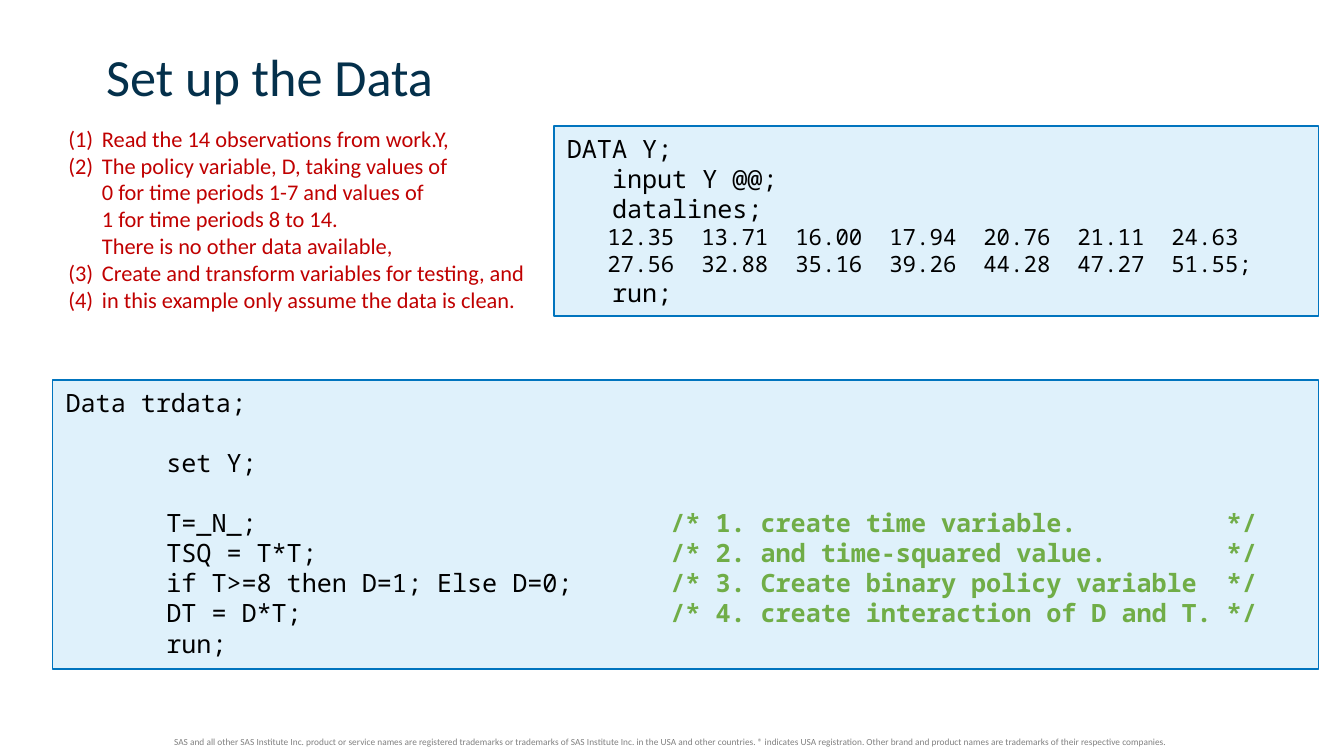
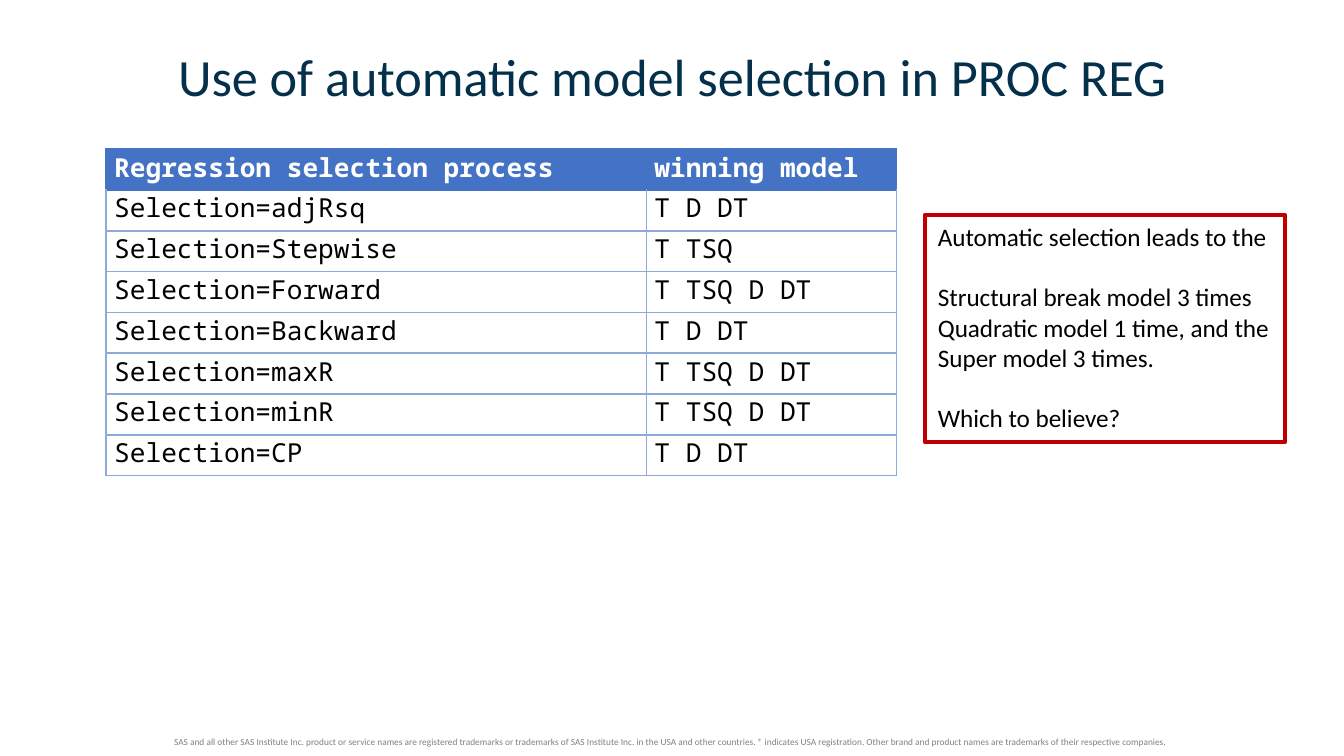
from lxml import etree
from pptx import Presentation
from pptx.dml.color import RGBColor
from pptx.enum.shapes import MSO_SHAPE
from pptx.enum.text import MSO_ANCHOR, PP_ALIGN
from pptx.oxml.ns import qn
from pptx.util import Inches, Pt

RECT = MSO_SHAPE.RECTANGLE
TOP, MIDDLE = MSO_ANCHOR.TOP, MSO_ANCHOR.MIDDLE
LEFT, CENTER = PP_ALIGN.LEFT, PP_ALIGN.CENTER

NAVY = RGBColor(0x04, 0x30, 0x4B)
BLUE = RGBColor(0x00, 0x74, 0xBE)
PALE = RGBColor(0xDF, 0xF1, 0xFB)
RED = RGBColor(0xC0, 0x00, 0x00)
GREEN = RGBColor(0x70, 0xAD, 0x47)
GREY = RGBColor(0x80, 0x80, 0x80)
BLACK = RGBColor(0x00, 0x00, 0x00)
WHITE = RGBColor(0xFF, 0xFF, 0xFF)
HEAD = RGBColor(0x44, 0x72, 0xC4)
GRID = RGBColor(0x8E, 0xAA, 0xDB)
SANS, MONO = "Calibri", "Noto Sans Mono"

FOOTER = (
    "SAS and all other SAS Institute Inc. product or service names are registered "
    "trademarks or trademarks of SAS Institute Inc. in the USA and other countries. "
    "® indicates USA registration. Other brand and product names are trademarks of "
    "their respective companies."
)


def write(frame, lines, face, size, color, align=LEFT, tabs=(), number=False):
    """Fill a frame; an empty line becomes space before the next one."""
    gap = False
    first = True
    for line in lines:
        if not line:
            gap = True
            continue
        para = frame.paragraphs[0] if first else frame.add_paragraph()
        first = False
        para.alignment = align
        code, mark, note = line.partition("/*")
        para.text = code
        if gap:
            para.space_before = Pt(16)
            gap = False
        props = para._p.get_or_add_pPr()
        if number:
            props.set("marL", str(Inches(0.25)))
            props.set("indent", str(-Inches(0.25)))
            etree.SubElement(props, qn("a:buAutoNum"), type="arabicParenBoth")
        if tabs:
            stops = etree.SubElement(props, qn("a:tabLst"))
            for stop in tabs:
                etree.SubElement(stops, qn("a:tab"), pos=str(Inches(stop)), algn="l")
        para.font.name = face
        para.font.size = Pt(size)
        para.font.color.rgb = color
        if mark:
            run = para.add_run()
            run.text = mark + note
            run.font.bold = True
            run.font.color.rgb = GREEN


def panel(slide, place, line, width, fill=None):
    """Add a bordered box and return its text frame."""
    box = slide.shapes.add_shape(RECT, *map(Inches, place))
    box.shadow.inherit = False
    box.line.color.rgb = line
    box.line.width = Pt(width)
    if fill is None:
        box.fill.background()
    else:
        box.fill.solid()
        box.fill.fore_color.rgb = fill
    box.text_frame.vertical_anchor = TOP
    return box.text_frame


# Widescreen page, 16 by 9
deck = Presentation()
deck.slide_width = Inches(10)
deck.slide_height = Inches(10) * 9 // 16

# Titles and footers
slides = []
for text, align in (
    ("Set up the Data", LEFT),
    ("Use of automatic model selection in PROC REG", CENTER),
):
    slide = deck.slides.add_slide(deck.slide_layouts[5])
    slides.append(slide)
    title = slide.shapes.title
    title.left, title.top = Inches(0.69), Inches(0.3)
    title.width, title.height = Inches(8.62), Inches(0.52)
    title.text_frame.vertical_anchor = MIDDLE
    write(title.text_frame, [text], SANS, 28, NAVY, align)
    foot = slide.shapes.add_textbox(0, Inches(5.43), Inches(10), Inches(0.27))
    foot.text_frame.word_wrap = True
    write(foot.text_frame, [FOOTER], SANS, 5, GREY, CENTER)
data, model = slides

# Slide 1: code that builds the variables
frame = panel(data, (0.39, 2.83, 9.42, 2.15), BLUE, 1, PALE)
write(frame, [
    "Data trdata;",
    "",
    "\tset Y;",
    "",
    "\tT=_N_;\t/* 1. create time variable.          */",
    "\tTSQ = T*T;\t/* 2. and time-squared value.        */",
    "\tif T>=8 then D=1; Else D=0;\t/* 3. Create binary policy variable  */",
    "\tDT = D*T;\t/* 4. create interaction of D and T. */",
    "\trun;",
], MONO, 13.5, BLACK, tabs=(0.75, 4.5))

# Numbered steps
steps = data.shapes.add_textbox(Inches(0.41), Inches(0.88), Inches(4.68), Inches(0.44))
steps.text_frame.word_wrap = True
write(steps.text_frame, [
    "Read the 14 observations from work.Y,",
    "The policy variable, D, taking values of\v0 for time periods 1-7 and values of\v"
    "1 for time periods 8 to 14.\vThere is no other data available,",
    "Create and transform variables for testing, and",
    "in this example only assume the data is clean.",
], SANS, 12, RED, number=True)

# Code that reads the observations
frame = panel(data, (4.12, 0.94, 5.69, 1.41), BLUE, 1, PALE)
write(frame, [
    "DATA Y;",
    "   input Y @@;",
    "   datalines;",
    "   12.35  13.71  16.00  17.94  20.76  21.11  24.63",
    "   27.56  32.88  35.16  39.26  44.28  47.27  51.55;",
    "   run;",
], MONO, 13.5, BLACK)
for para in frame.paragraphs[3:5]:
    para.font.size = Pt(12)

# Slide 2: table of winning models
rows = [
    ("Regression selection process", "winning model"),
    ("Selection=adjRsq", "T D DT"),
    ("Selection=Stepwise", "T TSQ"),
    ("Selection=Forward", "T TSQ D DT"),
    ("Selection=Backward", "T D DT"),
    ("Selection=maxR", "T TSQ D DT"),
    ("Selection=minR", "T TSQ D DT"),
    ("Selection=CP", "T D DT"),
]
table = model.shapes.add_table(
    len(rows), 2, Inches(0.79), Inches(1.11), Inches(5.88), Inches(2.43)
).table
table.horz_banding = False
table.columns[0].width, table.columns[1].width = Inches(4.02), Inches(1.86)
for r, row in enumerate(rows):
    table.rows[r].height = Inches(2.43 / len(rows))
    for c, text in enumerate(row):
        cell = table.cell(r, c)
        cell.margin_left = cell.margin_right = Inches(0.06)
        cell.margin_top = cell.margin_bottom = 0
        write(cell.text_frame, [text], MONO, 14, BLACK if r else WHITE)
        cell.text_frame.paragraphs[0].font.bold = r == 0
        props = cell._tc.get_or_add_tcPr()
        for side in ("L", "R", "T", "B"):
            edge = HEAD if r == 0 or (r == 1 and side == "T") else GRID
            line = etree.SubElement(props, qn(f"a:ln{side}"), w=str(Pt(1)))
            paint = etree.SubElement(line, qn("a:solidFill"))
            etree.SubElement(paint, qn("a:srgbClr"), val=str(edge))
        if r:
            cell.fill.background()
        else:
            cell.fill.solid()
            cell.fill.fore_color.rgb = HEAD

# Verdict
frame = panel(model, (6.88, 1.6, 2.68, 1.69), RED, 2.25)
frame.word_wrap = False
write(frame, [
    "Automatic selection leads to the",
    "",
    "Structural break model 3 times",
    "Quadratic model 1 time, and the",
    "Super model 3 times.",
    "",
    "Which to believe?",
], SANS, 13.5, BLACK)

deck.save("out.pptx")
